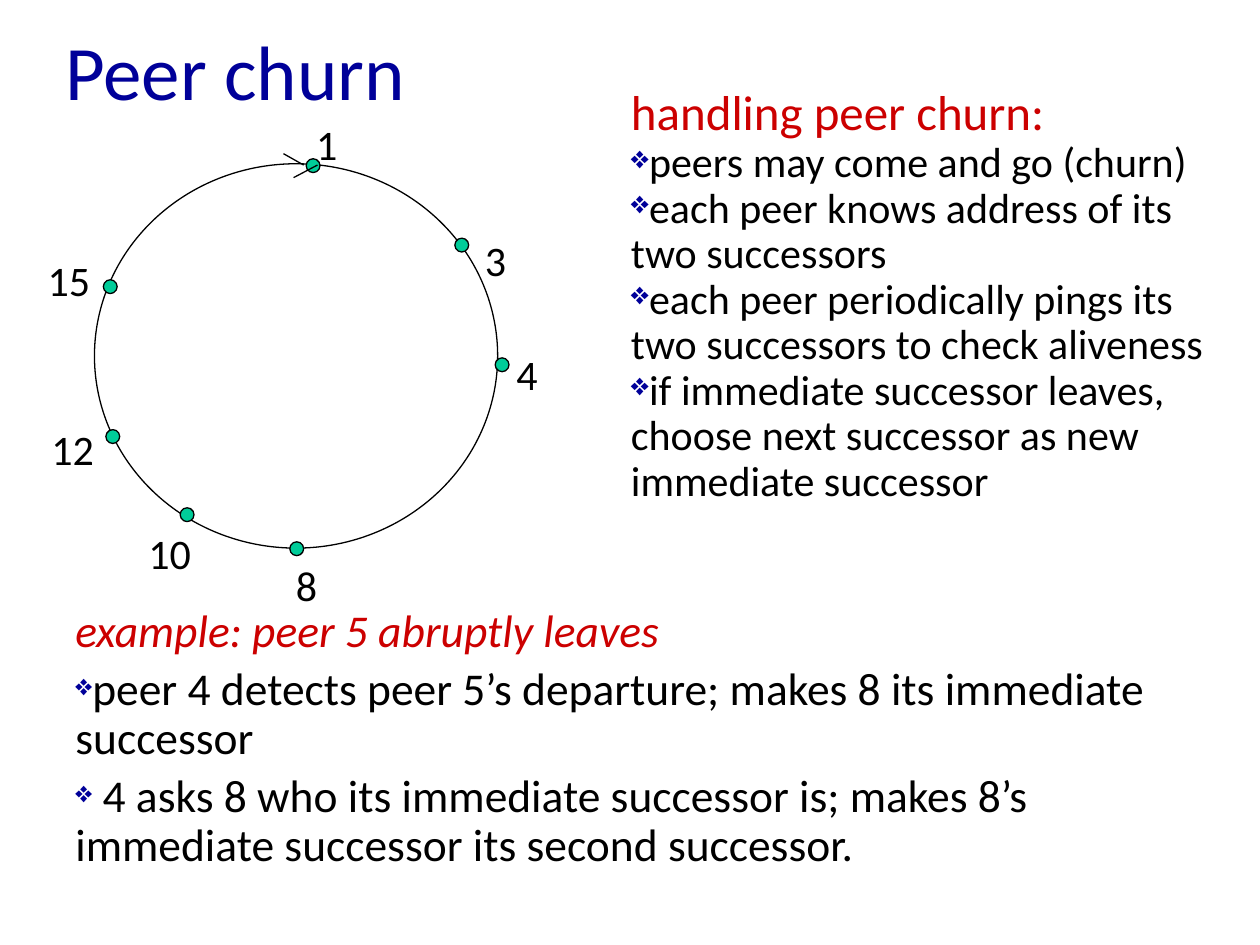
from lxml import etree
from pptx import Presentation
from pptx.dml.color import RGBColor
from pptx.enum.shapes import MSO_CONNECTOR as CONN, MSO_SHAPE as SHAPE
from pptx.enum.text import MSO_ANCHOR as ANCHOR
from pptx.oxml.ns import qn
from pptx.util import Emu, Pt

NAVY = RGBColor(0x00, 0x00, 0x99)
RED = RGBColor(0xCC, 0x00, 0x00)
GREEN = RGBColor(0x00, 0xCC, 0x99)
BLACK = RGBColor(0x00, 0x00, 0x00)
FONT = "Calibri"
DOT = 11

# Peer: (dot x, dot y, label x, label y, label width), relative to the ring
PEERS = {
    "1": (168, -4, 166, -41, 39),
    "3": (286, 59, 300, 51, 39),
    "4": (318, 154, 325, 142, 39),
    "8": (155, 300, 150, 309, 39),
    "10": (68, 273, 33, 284, 58),
    "12": (9, 211, -44, 201, 58),
    "15": (7, 92, -47, 67, 58),
}
CHURN_RULES = [
    "peers may come and go (churn)",
    "each peer knows address of its two successors",
    "each peer periodically pings its \vtwo successors to check aliveness",
    "if immediate successor leaves, choose next successor as new immediate successor",
]
EXAMPLE_STEPS = [
    "peer 4 detects peer 5’s departure; makes 8 its immediate successor",
    " 4 asks 8 who its immediate successor is; makes 8’s immediate successor its second successor.",
]


def px(n):
    """100 px to the inch."""
    return Emu(n * 9144)


def add_box(s, x, y, w, h, wrap=True, anchor=ANCHOR.TOP):
    tf = s.shapes.add_textbox(px(x), px(y), px(w), px(h)).text_frame
    tf.word_wrap = wrap
    tf.vertical_anchor = anchor
    return tf


def add_text(tf, text, size=24, color=BLACK, italic=False, spacing=None,
             before=None, bullet=None):
    """Add a paragraph; bullet is the bullet's size in percent of the text."""
    first = not tf.paragraphs[0].runs
    p = tf.paragraphs[0] if first else tf.add_paragraph()
    p.text = text
    if spacing:
        p.line_spacing = spacing
    if before and not first:
        p.space_before = before
    if bullet:
        pPr = p._p.get_or_add_pPr()
        clr = etree.SubElement(pPr, qn("a:buClr"))
        etree.SubElement(clr, qn("a:srgbClr"), val=str(NAVY))
        etree.SubElement(pPr, qn("a:buSzPct"), val=str(bullet * 1000))
        etree.SubElement(pPr, qn("a:buChar"), char="❖")
    for r in p.runs:
        r.font.name = FONT
        r.font.size = Pt(size)
        r.font.italic = italic
        r.font.color.rgb = color


def add_oval(s, x, y, w, h, fill=None):
    sp = s.shapes.add_shape(SHAPE.OVAL, px(x), px(y), px(w), px(h))
    sp.shadow.inherit = False
    if fill is None:
        sp.fill.background()
    else:
        sp.fill.solid()
        sp.fill.fore_color.rgb = fill
    sp.line.color.rgb = BLACK
    sp.line.width = Pt(0.75)


def add_line(s, x1, y1, x2, y2):
    line = s.shapes.add_connector(CONN.STRAIGHT, px(x1), px(y1), px(x2), px(y2))
    line.line.color.rgb = BLACK
    line.line.width = Pt(0.75)
    etree.SubElement(line._element.spPr, qn("a:effectLst"))


def add_title(s, x, y, w, h):
    tf = add_box(s, x, y, w, h, anchor=ANCHOR.MIDDLE)
    add_text(tf, "Peer churn", 44, NAVY)


def add_ring(s, x, y, w, h):
    # Ring, then its peers with their labels
    add_oval(s, x, y, w, h)
    for peer, (dx, dy, lx, ly, lw) in PEERS.items():
        add_oval(s, x + dx, y + dy, DOT, DOT, GREEN)
        add_text(add_box(s, x + lx, y + ly, lw, 51, wrap=False), peer)
    # Direction mark at the top
    add_line(s, x + 150, y - 8, x + 166, y + 1)
    add_line(s, x + 177, y + 1, x + 158, y + 11)


def add_rules(s, x, y, w, h):
    tf = add_box(s, x, y, w, h)
    add_text(tf, "handling peer churn:", 28, RED)
    for rule in CHURN_RULES:
        add_text(tf, rule, spacing=Pt(26), bullet=75)


def add_example(s, x, y, w, h):
    tf = add_box(s, x, y, w, h)
    style = dict(size=26, spacing=0.9, before=Pt(5))
    add_text(tf, "example: peer 5 abruptly leaves", color=RED, italic=True, **style)
    for step in EXAMPLE_STEPS:
        add_text(tf, step, bullet=65, **style)


def main():
    prs = Presentation()
    prs.slide_width, prs.slide_height = px(1000), px(750)
    s = prs.slides.add_slide(prs.slide_layouts[6])
    add_title(s, 42, 0, 900, 111)
    add_example(s, 50, 478, 900, 233)
    add_ring(s, 75, 130, 320, 305)
    add_rules(s, 491, 60, 484, 466)
    prs.save("out.pptx")


if __name__ == "__main__":
    main()
